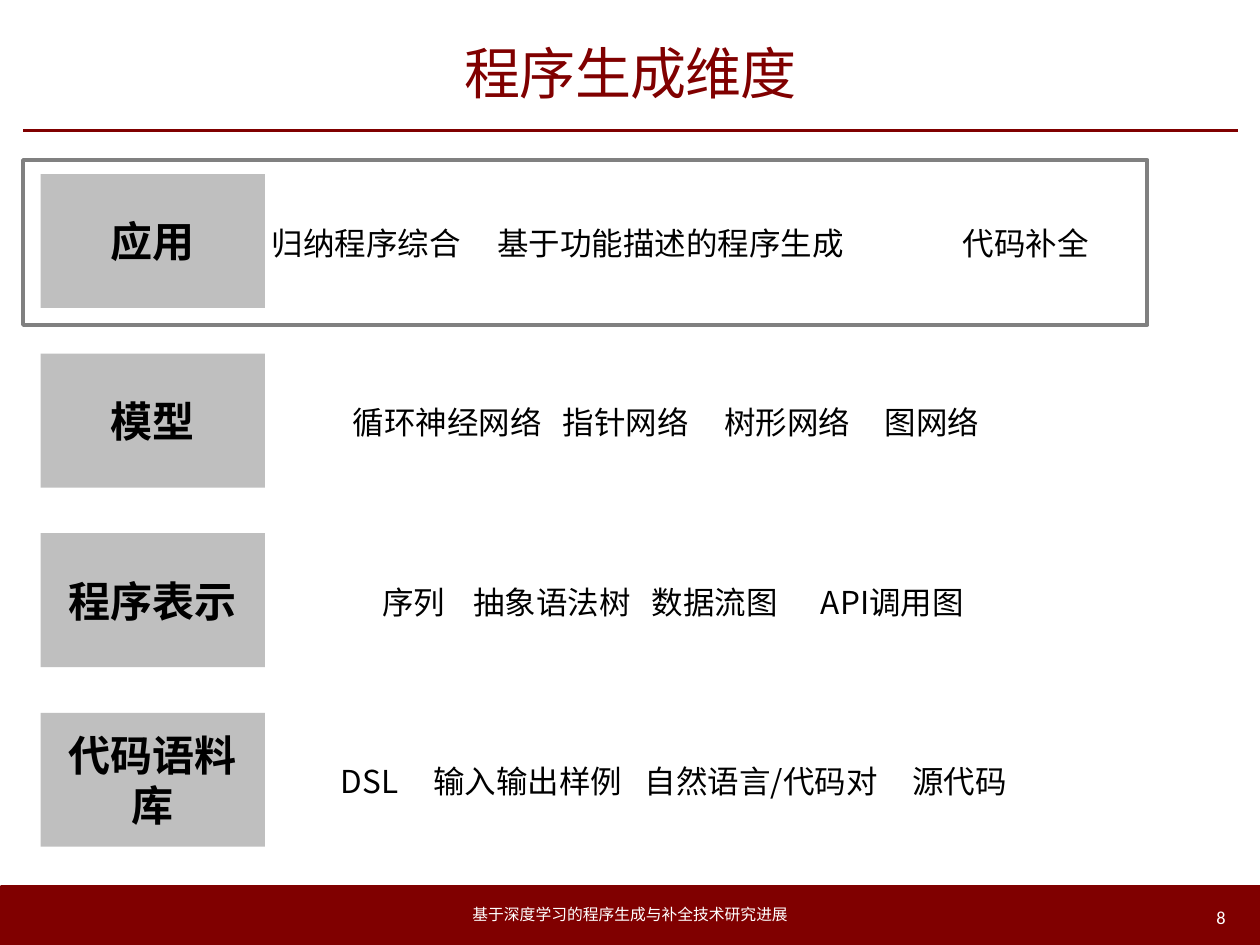
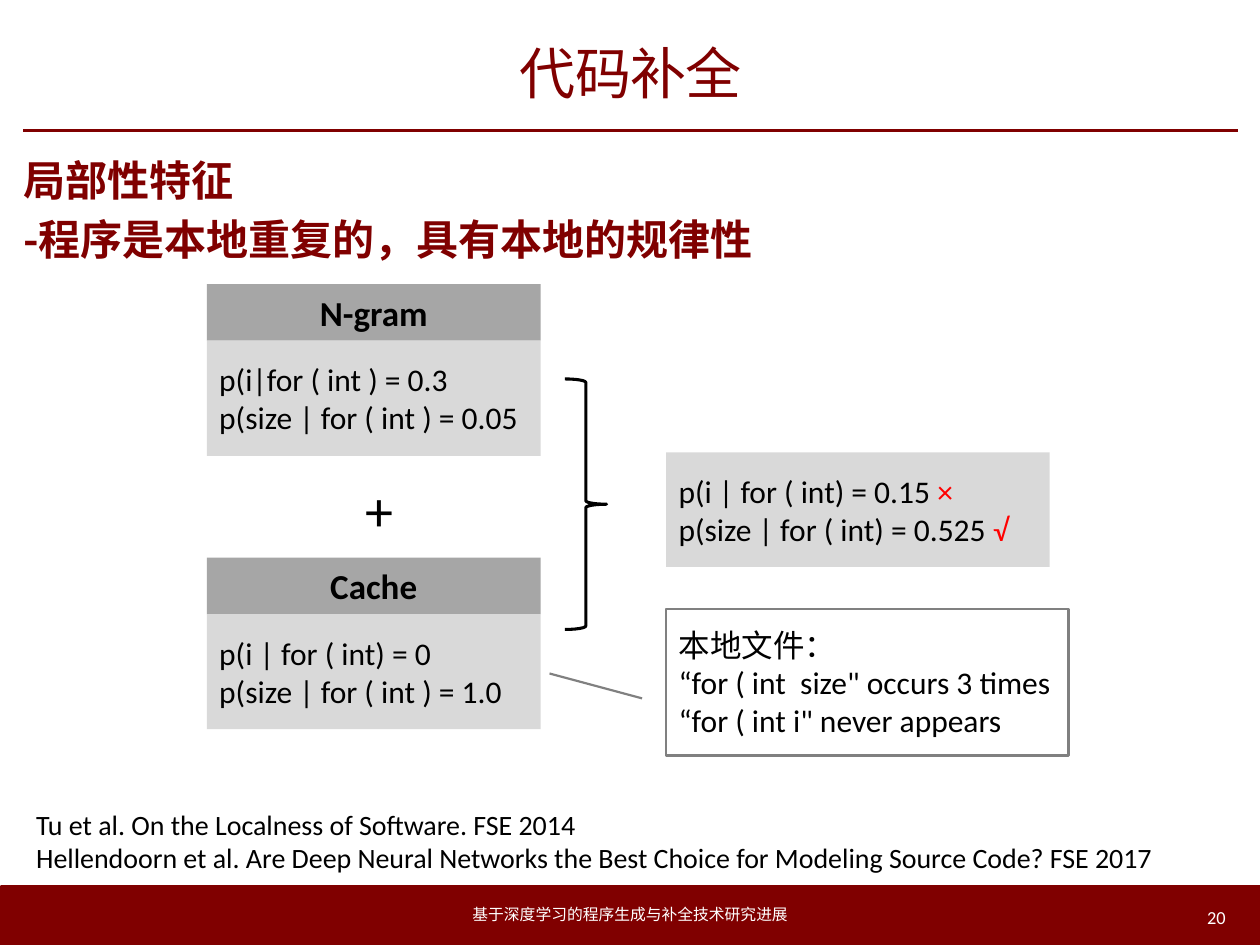
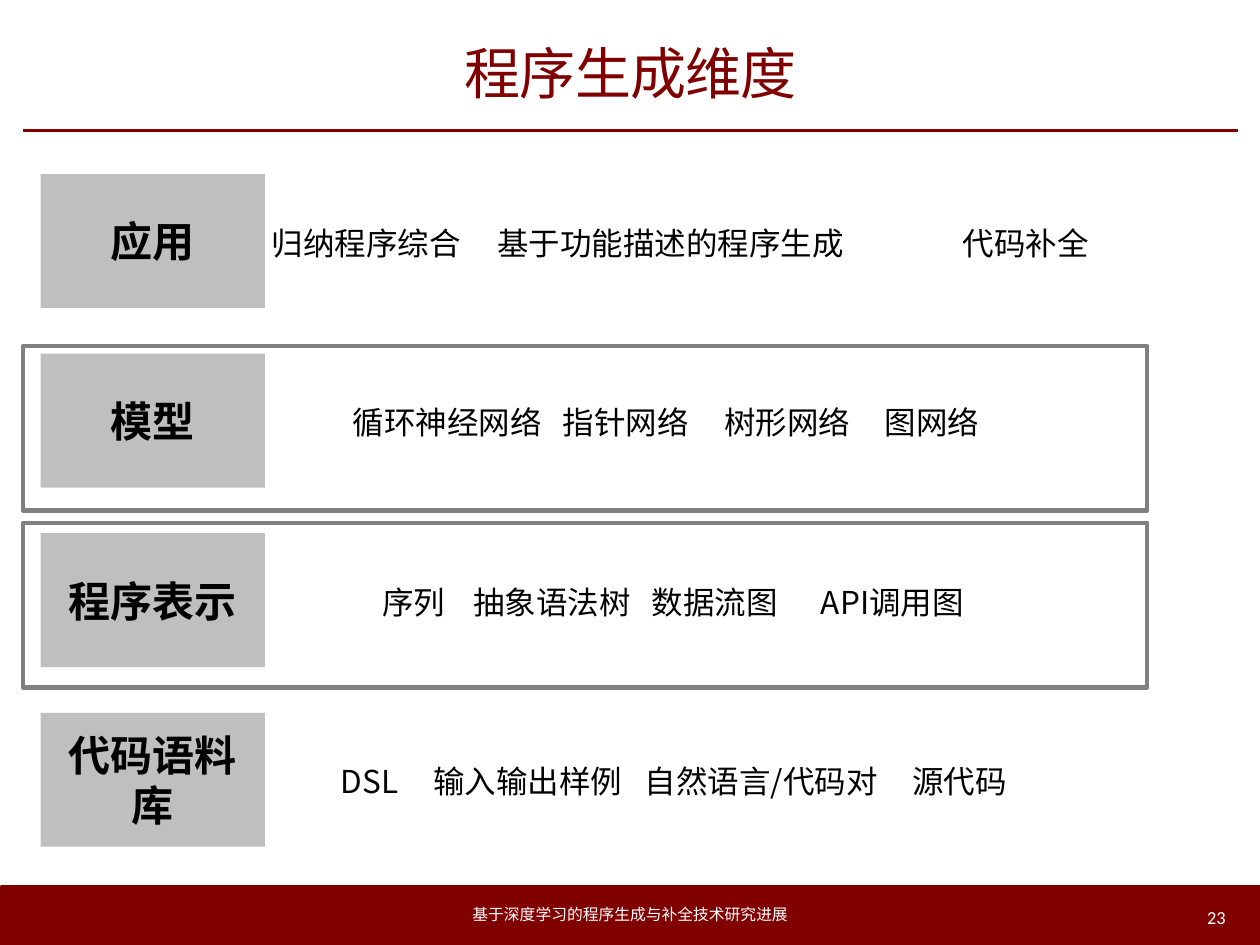
from dataclasses import dataclass

from lxml import etree
from pptx import Presentation
from pptx import util as u
from pptx.dml.color import RGBColor
from pptx.enum import shapes, text
from pptx.oxml.ns import qn


@dataclass(frozen=True)
class Theme:
    maroon: str = "800000"
    white: str = "FFFFFF"
    black: str = "000000"
    red: str = "FF0000"
    outline: str = "808080"
    label: str = "BFBFBF"
    header: str = "A6A6A6"
    panel: str = "D9D9D9"
    latin: str = "Calibri"
    chinese: str = "Noto Sans CJK SC"
    footer: str = "Quicksand"
    title_size: float = 32
    heading_size: float = 24
    card_size: float = 20
    text_size: float = 18
    source_size: float = 16
    number_size: float = 10.5
    footer_size: float = 9


THEME = Theme()
SHAPE = shapes.MSO_SHAPE
ALIGN = text.PP_ALIGN
ANCHOR = text.MSO_ANCHOR

WIDTH, HEIGHT = 25.4, 19.05
MARGIN = 0.47
ROW_BOX = (MARGIN, 3.23, 22.66, 3.32)
ROW_PITCH = 3.62
DIMENSIONS = [
    ("应用", [("归纳程序综合", 5.48), ("基于功能描述的程序生成", 10.02), ("代码补全", 19.41)]),
    ("模型", [("循环神经网络", 7.11), ("指针网络", 11.35), ("树形网络", 14.6), ("图网络", 17.84)]),
    ("程序表示", [("序列", 7.71), ("抽象语法树", 9.54), ("数据流图", 13.14), ("API调用图", 16.55)]),
    ("代码语料库", [("DSL", 6.87), ("输入输出样例", 8.73), ("自然语言/代码对", 13), ("源代码", 18.39)]),
]


def rgb(color):
    return RGBColor.from_string(color)


def lengths(box):
    return [u.Cm(value) for value in box]


def write(shape, paragraphs, size=THEME.text_size, font=THEME.latin, color=THEME.black,
          bold=False, align=ALIGN.LEFT, anchor=ANCHOR.MIDDLE, insets=(0.25, 0.13),
          wrap=True, spacing=None, after=0, tracking=None, tabs=()):
    frame = shape.text_frame
    frame.auto_size = text.MSO_AUTO_SIZE.NONE
    frame.word_wrap = wrap
    frame.vertical_anchor = anchor
    frame.margin_left = frame.margin_right = u.Cm(insets[0])
    frame.margin_top = frame.margin_bottom = u.Cm(insets[1])
    for index, spans in enumerate(paragraphs):
        para = frame.paragraphs[0] if index == 0 else frame.add_paragraph()
        properties = para._p.get_or_add_pPr()
        if shape.is_placeholder:
            properties.set("marL", "0")
            properties.set("indent", "0")
            etree.SubElement(properties, qn("a:buNone"))
        if tabs:
            stops = etree.SubElement(properties, qn("a:tabLst"))
            for stop in tabs:
                etree.SubElement(stops, qn("a:tab"), pos=str(u.Cm(stop)), algn="l")
        para.alignment = align
        para.space_before = u.Pt(0)
        para.space_after = u.Pt(after)
        if spacing:
            para.line_spacing = spacing
        for words, changes in [(spans, {})] if isinstance(spans, str) else spans:
            style = {"font": font, "color": color} | changes
            span = para.add_run()
            span.text = words
            span.font.size = u.Pt(size)
            span.font.bold = bold
            span.font.name = style["font"]
            span.font.color.rgb = rgb(style["color"])
            span_properties = span._r.get_or_add_rPr()
            latin = span_properties.find(qn("a:latin"))
            east_asian = etree.Element(qn("a:ea"), typeface=THEME.chinese)
            latin.addnext(east_asian)
            if tracking:
                span_properties.set("spc", str(int(tracking * 100)))


def add_text(page, box, paragraphs, **style):
    shape = page.shapes.add_textbox(*lengths(box))
    write(shape, paragraphs, **style)


def add_block(page, box, kind=SHAPE.RECTANGLE, fill=None, line=None, weight=1):
    shape = page.shapes.add_shape(kind, *lengths(box))
    shape.shadow.inherit = False
    if fill:
        shape.fill.solid()
        shape.fill.fore_color.rgb = rgb(fill)
    else:
        shape.fill.background()
    if line:
        shape.line.color.rgb = rgb(line)
        shape.line.width = u.Pt(weight)
    else:
        shape.line.fill.background()
    return shape


def add_rule(page, left, right, top):
    rule = page.shapes.add_connector(shapes.MSO_CONNECTOR.STRAIGHT,
                                     *lengths((left, top, right, top)))
    rule.line.color.rgb = rgb(THEME.maroon)
    rule.line.width = u.Pt(1.5)
    etree.SubElement(rule._element.spPr, qn("a:effectLst"))


def place(shape, box):
    shape.left, shape.top, shape.width, shape.height = lengths(box)


def add_page(deck, layout, title, number):
    page = deck.slides.add_slide(deck.slide_layouts.get_by_name(layout))
    add_block(page, (0.03, 17.9, WIDTH, 1.14), fill=THEME.maroon, line=THEME.maroon, weight=3)
    add_rule(page, MARGIN, 24.96, 2.63)
    place(page.shapes.title, (MARGIN, 0.53, 24.49, 1.85))
    write(page.shapes.title, [title], size=THEME.title_size, color=THEME.maroon,
          align=ALIGN.CENTER, tracking=-0.5)
    add_text(page, (23.82, 18.04, 1.14, 0.89), [str(number)], size=THEME.number_size,
             color=THEME.white, align=ALIGN.RIGHT)
    add_text(page, (7.67, 17.98, 10.06, 0.89), ["基于深度学习的程序生成与补全技术研究进展"],
             size=THEME.footer_size, font=THEME.footer, color=THEME.white, align=ALIGN.CENTER)
    return page


def add_dimension(page, box, label, items):
    left, top, width, height = box
    tile = add_block(page, (left + 0.35, top + 0.28, 4.52, 2.7), fill=THEME.label)
    write(tile, [label], size=THEME.heading_size, font=THEME.chinese, bold=True,
          align=ALIGN.CENTER)
    start = items[0][1]
    add_text(page, (start, top, left + width - start, height),
             ["\t".join(name for name, _ in items)], font=THEME.chinese,
             insets=(0, 0.13), tabs=[position - start for _, position in items[1:]])


def dimensions_page(deck, number, highlights):
    page = add_page(deck, "Title Only", "程序生成维度", number)
    left, top, width, height = ROW_BOX
    for row, (label, items) in enumerate(DIMENSIONS):
        add_dimension(page, (left, top + row * ROW_PITCH, width, height), label, items)
    for row, drop in highlights:
        add_block(page, (left, top + row * ROW_PITCH + drop, width, height),
                  line=THEME.outline, weight=2.5)


def add_card(page, box, heading, lines):
    left, top, width, height = box
    header_height = 1.14
    header = add_block(page, (left, top, width, header_height), fill=THEME.header)
    write(header, [heading], size=THEME.card_size, bold=True, align=ALIGN.CENTER)
    panel = add_block(page, (left, top + header_height, width, height - header_height),
                      fill=THEME.panel)
    write(panel, lines)


def add_combination(page, box):
    left, top, width, height = box
    card_width, card_height = 6.73, 3.46
    add_card(page, (left, top, card_width, card_height), "N-gram",
             ["p(i|for ( int ) = 0.3", "p(size | for ( int ) = 0.05"])
    add_card(page, (left, top + height - card_height, card_width, card_height), "Cache",
             ["p(i | for ( int) = 0", "p(size | for ( int ) = 1.0"])
    add_text(page, (left + 2.95, top + 3.73, 1.09, 1.63), ["+"], size=THEME.title_size,
             anchor=ANCHOR.TOP, wrap=False)
    add_block(page, (left + 7.22, top + 1.91, 0.84, 5.05), SHAPE.RIGHT_BRACE,
              line=THEME.black, weight=1.75)

    right = left + 9.26
    result = add_block(page, (right, top + 3.39, left + width - right - 0.38, 2.31),
                       fill=THEME.panel)
    write(result, [
        [("p(i | for ( int) = 0.15 ", {}), ("×", {"color": THEME.red})],
        [("p(size | for ( int) = 0.525 ", {}), ("√", {"color": THEME.red})],
    ])
    callout = add_block(page, (right, top + 6.55, left + width - right, 2.95),
                        SHAPE.LINE_CALLOUT_1, line=THEME.outline, weight=1.25)
    for index, value in enumerate((0.61, -0.06, 0.44, -0.29)):
        callout.adjustments[index] = value
    write(callout, [
        [("本地文件：", {"font": THEME.chinese})],
        "“for ( int  size\" occurs 3 times",
        "“for ( int i\" never appears",
    ])


def completion_page(deck, number):
    page = add_page(deck, "Title and Content", "代码补全", number)
    body = page.placeholders[1]
    place(body, (MARGIN, 2.88, 24.49, 14.6))
    write(body, ["局部性特征", "-程序是本地重复的，具有本地的规律性"],
          size=THEME.heading_size, font=THEME.chinese, color=THEME.maroon, bold=True,
          anchor=ANCHOR.TOP, insets=(0, 0.13), spacing=1.1, after=2)
    add_combination(page, (4.17, 5.73, 17.37, 8.97))
    add_text(page, (0.48, 16.14, 23.34, 1.63), [
        "Tu et al. On the Localness of Software. FSE 2014",
        "Hellendoorn et al. Are Deep Neural Networks the Best Choice"
        " for Modeling Source Code? FSE 2017",
    ], size=THEME.source_size, anchor=ANCHOR.TOP, wrap=False)


def main():
    deck = Presentation()
    deck.slide_width, deck.slide_height = lengths((WIDTH, HEIGHT))
    dimensions_page(deck, 8, [(0, 0)])
    completion_page(deck, 20)
    dimensions_page(deck, 23, [(1, 0.12), (2, 0.07)])
    deck.save("out.pptx")


if __name__ == "__main__":
    main()
